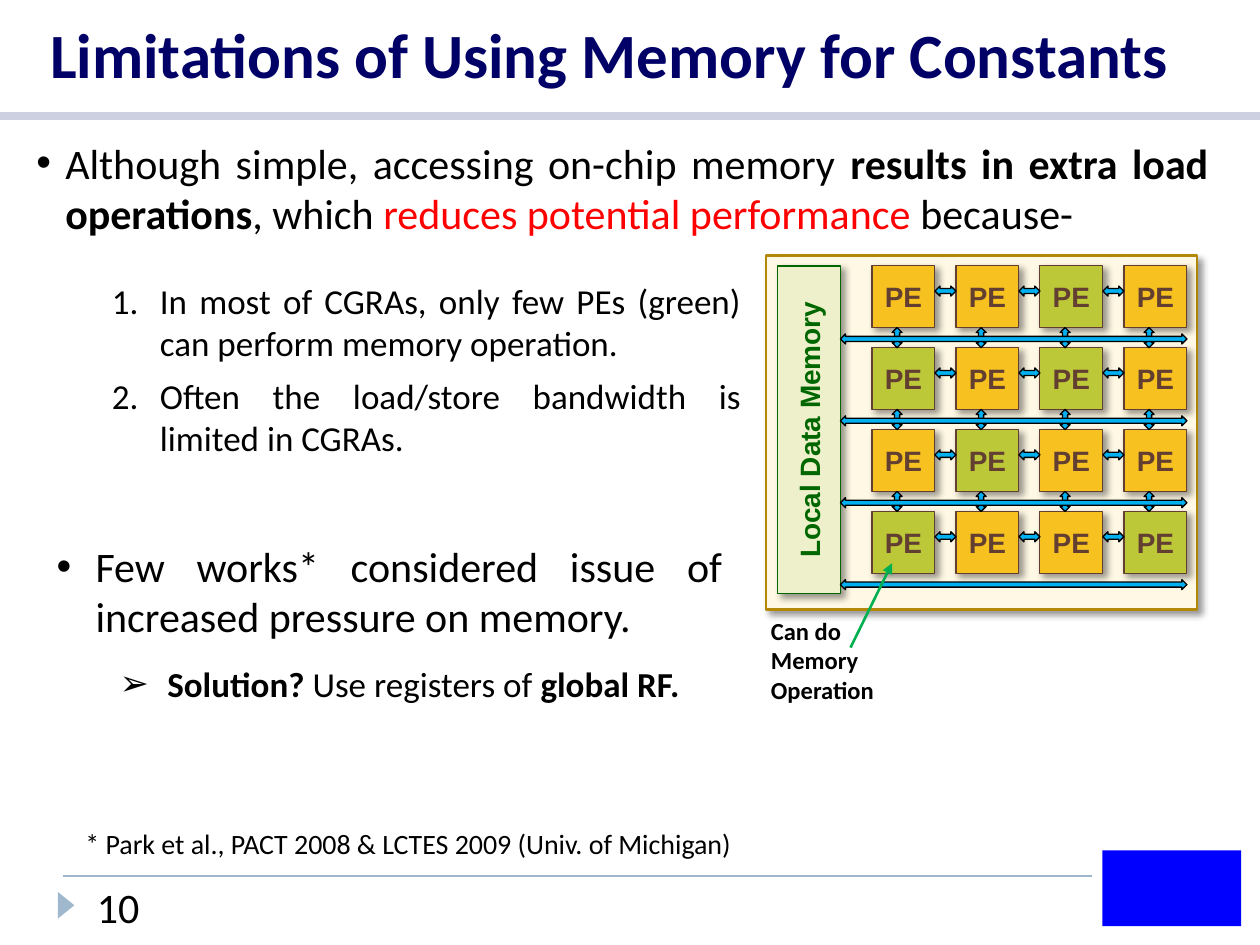
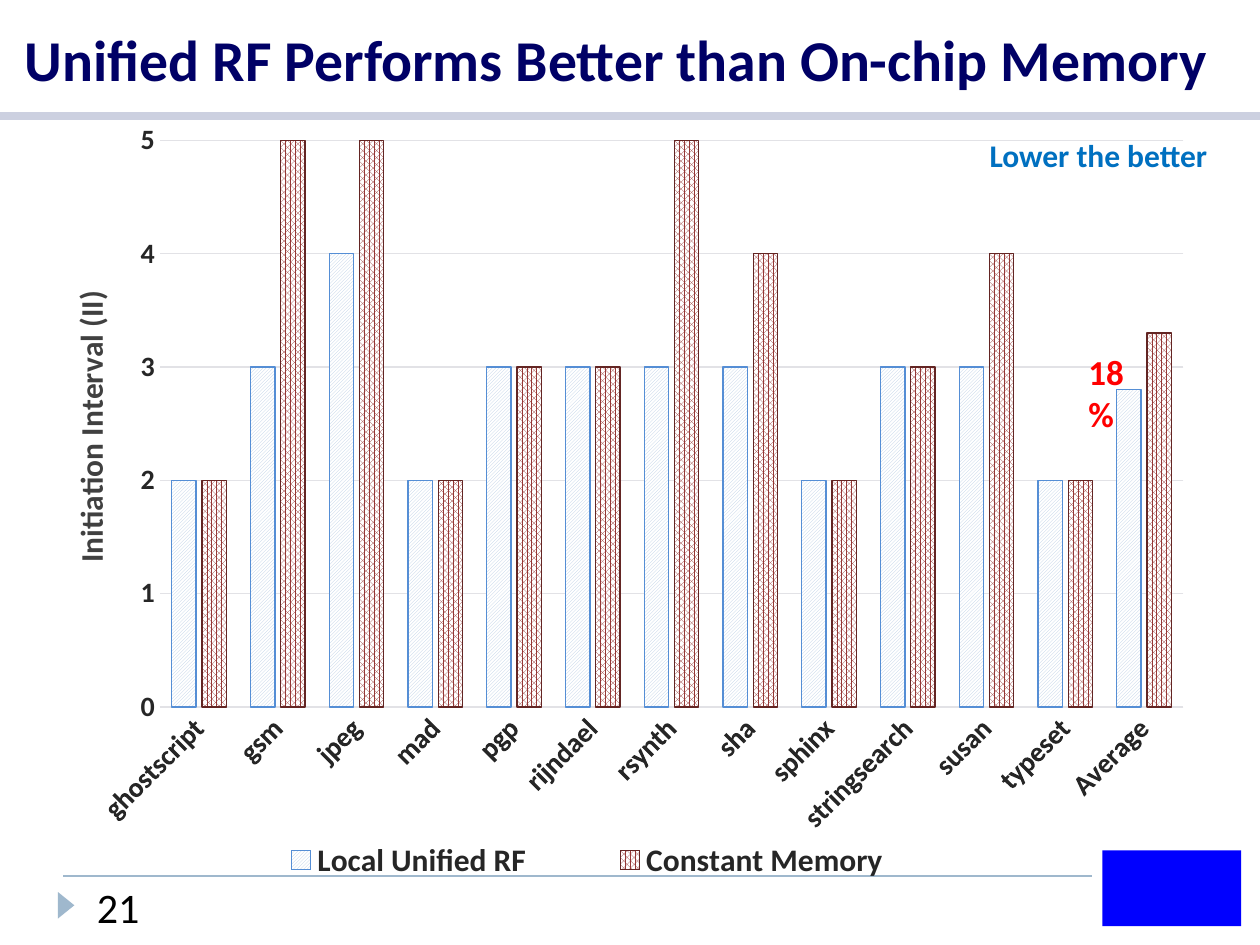
"""Build two slides on constants in memory and on a unified register file."""
from lxml import etree
from pptx import Presentation
from pptx.chart.data import CategoryChartData
from pptx.dml.color import RGBColor
from pptx.enum.chart import XL_CHART_TYPE, XL_LEGEND_POSITION, XL_TICK_MARK
from pptx.enum.dml import MSO_PATTERN
from pptx.enum.shapes import MSO_CONNECTOR, MSO_SHAPE
from pptx.enum.text import MSO_ANCHOR, PP_ALIGN
from pptx.oxml.ns import qn
from pptx.util import Inches, Pt

STRAIGHT = MSO_CONNECTOR.STRAIGHT
RECTANGLE = MSO_SHAPE.RECTANGLE
TRIANGLE = MSO_SHAPE.ISOSCELES_TRIANGLE
ACROSS = MSO_SHAPE.LEFT_RIGHT_ARROW
UPRIGHT = MSO_SHAPE.UP_DOWN_ARROW
LEFT, RIGHT = PP_ALIGN.LEFT, PP_ALIGN.RIGHT
CENTER, JUSTIFY = PP_ALIGN.CENTER, PP_ALIGN.JUSTIFY
TOP, MIDDLE, BOTTOM = MSO_ANCHOR.TOP, MSO_ANCHOR.MIDDLE, MSO_ANCHOR.BOTTOM
CLUSTERED = XL_CHART_TYPE.COLUMN_CLUSTERED
LEGEND_BOTTOM = XL_LEGEND_POSITION.BOTTOM
NO_TICK = XL_TICK_MARK.NONE
DIAGONAL, DENSE = MSO_PATTERN.DARK_UPWARD_DIAGONAL, MSO_PATTERN.PERCENT_75

COLORS = {
    "black": "000000", "white": "FFFFFF", "title": "000066", "band": "CCD0E0",
    "footer": "9FB8CD", "logo": "0000FF", "red": "FF0000", "note": "0070C0",
    "array": "FEF8E4", "array_line": "B38807", "orange": "F7C120",
    "green": "BCC838", "brown": "633F32", "memory": "EDF0CA",
    "memory_line": "006600", "bus": "00B0F0", "pointer": "00B050",
    "label": "262626", "axis_title": "404040", "grid": "E2E2E6",
    "unified": "B9CDE5", "unified_line": "558ED5",
    "constant": "953735", "constant_line": "632523",
}
BODY_FONT, DIAGRAM_FONT = "Calibri", "Arial"
PE_ROWS = ["OOGO", "GOGO", "OGOO", "GOOG"]
PE_LEFT, PE_TOP, PE_WIDTH, PE_HEIGHT = 6.92, 2.11, 0.5, 0.49
PITCH_X, PITCH_Y = 2 / 3, 0.65
BENCHMARKS = ["ghostscript", "gsm", "jpeg", "mad", "pgp", "rijndael", "rsynth",
              "sha", "sphinx", "stringsearch", "susan", "typeset", "Average"]
SERIES = [
    ("Local Unified RF", [2, 3, 4, 2, 3, 3, 3, 3, 2, 3, 3, 2, 2.8],
     DIAGONAL, "unified"),
    ("Constant Memory", [2, 5, 5, 2, 3, 3, 5, 4, 2, 3, 4, 2, 3.3],
     DENSE, "constant"),
]


def rgb(name):
    """Return a named colour."""
    return RGBColor.from_string(COLORS[name])


def style_font(font, size, color, bold=False, name=BODY_FONT):
    """Set the look of a font."""
    font.name, font.size, font.bold = name, Pt(size), bold
    font.color.rgb = rgb(color)


def style_line(line, color, width=0.75):
    """Set the colour and width of a line."""
    line.color.rgb, line.width = rgb(color), Pt(width)


def set_bullet(para, mark, margin, hang):
    """Give a paragraph a hanging bullet, or numbers when the mark is 1."""
    props = para._p.get_or_add_pPr()
    props.set("marL", str(Inches(margin)))
    props.set("indent", str(-Inches(hang)))
    if mark == "1.":
        etree.SubElement(props, qn("a:buAutoNum"), type="arabicPeriod")
    else:
        etree.SubElement(props, qn("a:buFont"), typeface="Arial")
        etree.SubElement(props, qn("a:buChar"), char=mark)


def fill_para(para, spans, size, align=LEFT, after=0, bullet=None,
              font=BODY_FONT):
    """Write spans of text, colour and weight into a paragraph."""
    if bullet:
        set_bullet(para, *bullet)
    para.alignment, para.space_after = align, Pt(after)
    for text, color, bold in spans:
        for index, part in enumerate(text.split("\n")):
            if index:
                para.add_line_break()
            span = para.add_run()
            span.text = part
            style_font(span.font, size, color, bold, font)


def add_text(page, place, *paras, anchor=TOP, wrap=True):
    """Add a text box; each para holds the settings for fill_para."""
    box = page.shapes.add_textbox(*map(Inches, place))
    frame = box.text_frame
    frame.word_wrap, frame.vertical_anchor = wrap, anchor
    for index, settings in enumerate(paras):
        para = frame.add_paragraph() if index else frame.paragraphs[0]
        fill_para(para, **settings)


def add_line(page, start, end, color, width, arrow=False):
    """Add a straight line, with an arrowhead at its end if wanted."""
    line = page.shapes.add_connector(STRAIGHT, *map(Inches, start + end))
    style_line(line.line, color, width)
    if arrow:
        etree.SubElement(line.line._get_or_add_ln(), qn("a:tailEnd"),
                         type="triangle")
    etree.SubElement(line._element.spPr, qn("a:effectLst"))


def add_block(page, kind, place, fill, line=None, width=0.75, rotation=0,
              shadow=False):
    """Add a filled shape, outlined and shadowed if wanted."""
    block = page.shapes.add_shape(kind, *map(Inches, place))
    block.rotation = rotation
    block.fill.solid()
    block.fill.fore_color.rgb = rgb(fill)
    if line:
        style_line(block.line, line, width)
    else:
        block.line.fill.background()
    block.shadow.inherit = False
    if shadow:
        effects = block._element.spPr.find(qn("a:effectLst"))
        outer = etree.SubElement(
            effects, qn("a:outerShdw"), blurRad=str(Pt(4)), dist=str(Pt(3)),
            dir="2700000", algn="tl", rotWithShape="0")
        shade = etree.SubElement(outer, qn("a:srgbClr"), val=COLORS["black"])
        etree.SubElement(shade, qn("a:alpha"), val="40000")
    return block


def add_labelled(page, place, text, fill, ink, rotation=0):
    """Add a shadowed rectangle with a bold centred label."""
    block = add_block(page, RECTANGLE, place, fill, ink, rotation=rotation,
                      shadow=True)
    frame = block.text_frame
    frame.vertical_anchor = MIDDLE
    frame.margin_left = frame.margin_right = 0
    fill_para(frame.paragraphs[0], [(text, ink, True)], 16, CENTER,
              font=DIAGRAM_FONT)


def add_bus(page, kind, place):
    """Add a double-headed arrow of the array."""
    add_block(page, kind, place, "bus", "black")


def add_page(deck):
    """Add a blank page with the shared band and footer marks."""
    page = deck.slides.add_slide(deck.slide_layouts[6])
    add_line(page, (0.5, 6.95), (8.67, 6.95), "footer", 1)
    add_line(page, (0, 0.92), (10, 0.92), "band", 5)
    add_block(page, TRIANGLE, (0.42, 7.12, 0.21, 0.13), "footer", rotation=90)
    add_block(page, RECTANGLE, (8.75, 6.75, 1.1, 0.6), "logo")
    return page


def add_title_and_number(page, title, size, place, number):
    """Add the page title and the page number."""
    add_text(page, place, dict(spans=[(title, "title", True)], size=size),
             anchor=BOTTOM)
    add_text(page, (0.67, 6.95, 1.41, 0.4),
             dict(spans=[(number, "black", False)], size=24))


def add_pe_array(page):
    """Draw the processing elements, their links and the data memory."""
    add_block(page, RECTANGLE, (6.08, 2.03, 3.42, 2.81), "array",
              "array_line", 1.5, shadow=True)
    last = len(PE_ROWS) - 1
    for row, kinds in enumerate(PE_ROWS):
        top = PE_TOP + row * PITCH_Y
        for column, kind in enumerate(kinds):
            left = PE_LEFT + column * PITCH_X
            add_labelled(page, (left, top, PE_WIDTH, PE_HEIGHT), "PE",
                         "green" if kind == "G" else "orange", "brown")
    add_labelled(page, (5.12, 3.16, 2.6, 0.5), "Local Data Memory", "memory",
                 "memory_line", 270)
    for row in range(last + 1):
        top = PE_TOP + row * PITCH_Y
        for column in range(last + 1):
            left = PE_LEFT + column * PITCH_X
            if column < last:
                add_bus(page, ACROSS, (left + PE_WIDTH, top + 0.16,
                                       PITCH_X - PE_WIDTH, 0.08))
            if row < last:
                add_bus(page, UPRIGHT, (left + 0.16, top + PE_HEIGHT,
                                        0.08, PITCH_Y - PE_HEIGHT))
        add_bus(page, ACROSS, (6.67, top + 0.54, 2.75, 0.08))


def set_layout(parent, inner=False, **parts):
    """Place a part of the chart by fractions of the chart area."""
    layout = parent.find(qn("c:layout"))
    if layout is None:
        layout = etree.Element(qn("c:layout"))
        parent.insert(0, layout)
    manual = etree.SubElement(layout, qn("c:manualLayout"))
    if inner:
        etree.SubElement(manual, qn("c:layoutTarget"), val="inner")
    for name in ("x", "y"):
        etree.SubElement(manual, qn(f"c:{name}Mode"), val="edge")
    for name, value in parts.items():
        etree.SubElement(manual, qn(f"c:{name}"), val=str(value))


def style_axes(chart):
    """Style both axes, the gridlines and the axis title."""
    categories, values = chart.category_axis, chart.value_axis
    for axis in (categories, values):
        axis.major_tick_mark = axis.minor_tick_mark = NO_TICK
        style_font(axis.tick_labels.font, 16, "label", True)
    style_line(categories.format.line, "grid")
    labels = categories._element.find(qn("c:txPr"))
    labels.find(qn("a:bodyPr")).set("rot", "-2700000")
    values.format.line.fill.background()
    values.minimum_scale, values.maximum_scale, values.major_unit = 0, 5, 1
    style_line(values.major_gridlines.format.line, "grid")
    title = values.axis_title
    fill_para(title.text_frame.paragraphs[0],
              [("Initiation Interval (II)", "axis_title", True)], 18)
    set_layout(title._element, x=0.04, y=0.21)


def add_interval_chart(page):
    """Add the column chart of initiation intervals."""
    data = CategoryChartData()
    data.categories = BENCHMARKS
    for name, values, _, _ in SERIES:
        data.add_series(name, values)
    place = map(Inches, (0.12, 0.98, 9.56, 6.09))
    chart = page.shapes.add_chart(CLUSTERED, *place, data).chart
    style_font(chart.font, 9, "label", True)
    chart.has_title = False
    plot = chart.plots[0]
    plot.gap_width, plot.overlap, plot.vary_by_categories = 100, -24, False
    for series, (_, _, pattern, color) in zip(plot.series, SERIES):
        series.invert_if_negative = False
        fill = series.format.fill
        fill.patterned()
        fill.pattern = pattern
        fill.fore_color.rgb, fill.back_color.rgb = rgb(color), rgb("white")
        style_line(series.format.line, color + "_line")
    style_axes(chart)
    chart.has_legend = True
    legend = chart.legend
    legend.position, legend.include_in_layout = LEGEND_BOTTOM, False
    style_font(legend.font, 18, "label", True)
    set_layout(legend._element, x=0.16, y=0.93, w=0.63, h=0.06)
    set_layout(chart._chartSpace.chart.plotArea, inner=True,
               x=0.12, y=0.02, w=0.85, h=0.74)


def build_limitations(deck):
    """Build the page on the limits of memory for constants."""
    page = add_page(deck)
    add_title_and_number(page, "Limitations of Using Memory for Constants", 36,
                         (0.3, 0.19, 9.54, 0.58), "10")
    point = dict(size=24, align=JUSTIFY, after=12)
    add_text(page, (0.19, 1.04, 9.5, 0.91), dict(point, spans=[
        ("Although simple, accessing on-chip memory ", "black", False),
        ("results in extra load operations", "black", True),
        (", which ", "black", False),
        ("reduces potential performance ", "red", False),
        ("because-", "black", False)], bullet=("•", 0.23, 0.23)))
    add_text(page, (0.35, 4.24, 5.48, 1.41), dict(point, spans=[
        ("Few works* considered issue of increased pressure on memory.",
         "black", False)], bullet=("•", 0.31, 0.31)),
        dict(point, size=20, spans=[
            ("Solution?", "black", True),
            (" Use registers of ", "black", False),
            ("global RF.", "black", True)], bullet=("➢", 0.88, 0.38)))
    add_pe_array(page)
    reasons = ["In most of CGRAs, only few PEs (green) can perform memory "
               "operation.",
               "Often the load/store bandwidth is limited in CGRAs."]
    add_text(page, (0.29, 2.17, 5.69, 1.53), *[
        dict(spans=[(reason, "black", False)], size=20, align=JUSTIFY, after=6,
             bullet=("1.", 0.88, 0.38)) for reason in reasons])
    add_text(page, (6.02, 4.84, 1.06, 0.81), dict(
        spans=[("Can do\nMemory\nOperation", "black", True)], size=14),
        wrap=False)
    add_line(page, (6.75, 5.14), (7.08, 4.47), "pointer", 1.5, arrow=True)
    add_text(page, (0.58, 6.51, 6.5, 0.37), dict(spans=[
        ("* Park et al., PACT 2008 & LCTES 2009 (Univ. of Michigan)",
         "black", False)], size=16))


def build_comparison(deck):
    """Build the page that compares the register file with memory."""
    page = add_page(deck)
    add_interval_chart(page)
    add_title_and_number(page, "Unified RF Performs Better than On-chip Memory",
                         33, (0.1, -0.19, 10, 0.98), "21")
    add_text(page, (5.96, 1.03, 3.72, 0.4), dict(
        spans=[("Lower the better", "note", True)], size=18, align=RIGHT))
    add_text(page, (8.54, 2.73, 0.59, 0.44), dict(
        spans=[("18%", "red", True)], size=20))


def main():
    """Build and save the deck."""
    deck = Presentation()
    deck.slide_width, deck.slide_height = Inches(10), Inches(7.5)
    build_limitations(deck)
    build_comparison(deck)
    deck.save("out.pptx")


if __name__ == "__main__":
    main()
